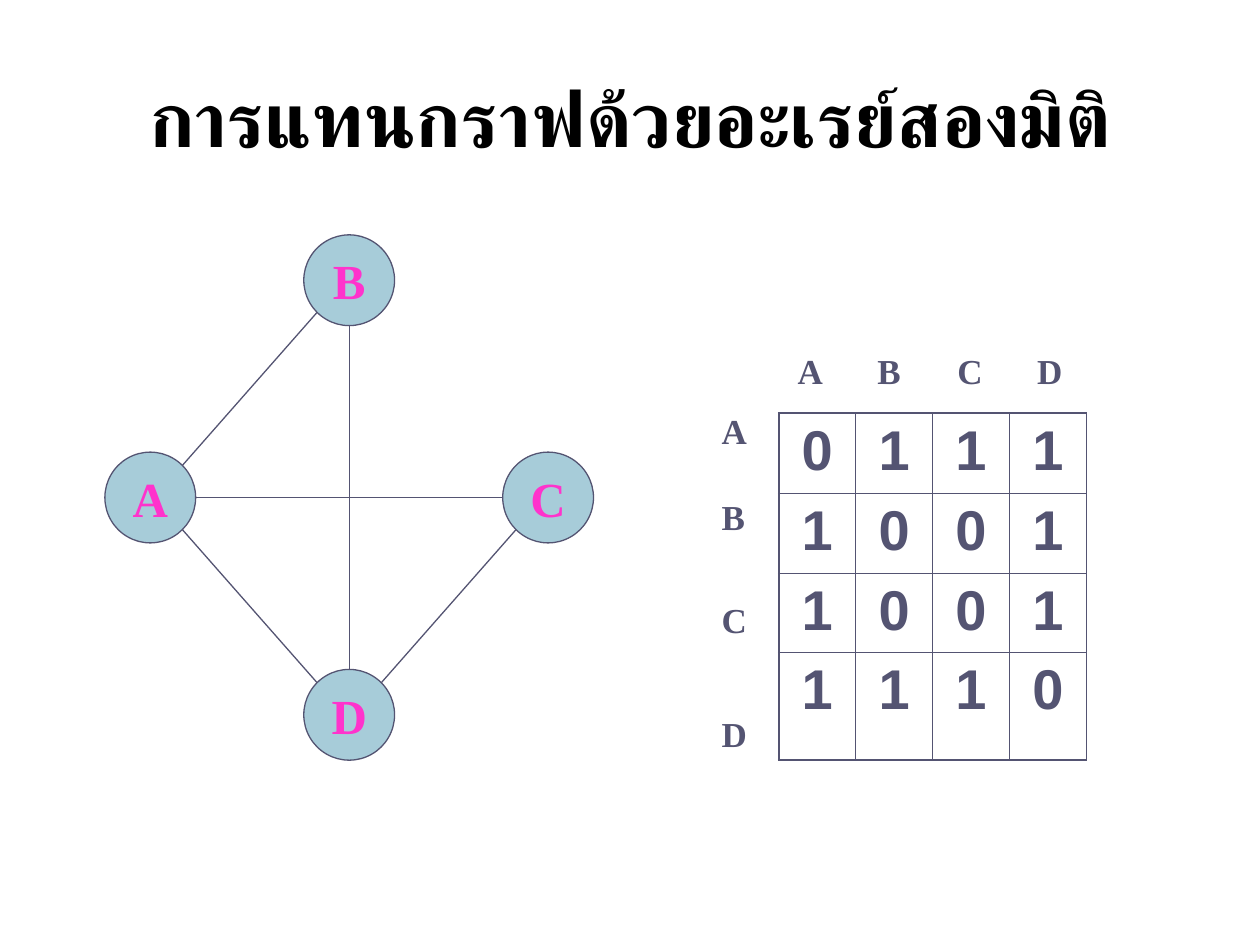
from math import hypot

from lxml.etree import SubElement
from pptx import Presentation
from pptx.dml.color import RGBColor
from pptx.enum.shapes import MSO_CONNECTOR, MSO_SHAPE
from pptx.enum.text import MSO_ANCHOR, PP_ALIGN
from pptx.oxml.ns import qn
from pptx.util import Cm, Pt

INK, DISC, PINK, BLACK = "545472", "A7CCD9", "FF33CC", "000000"
SANS, SERIF = "Arial", "Times New Roman"
SIZE = 1.83  # node diameter, cm

# Node centres in cm: a diamond around one middle point
MID_X, MID_Y, STEP_X, STEP_Y = 7.04, 10.03, 4.01, 4.38
NODES = {
    "A": (MID_X - STEP_X, MID_Y),
    "B": (MID_X, MID_Y - STEP_Y),
    "C": (MID_X + STEP_X, MID_Y),
    "D": (MID_X, MID_Y + STEP_Y),
}
EDGES = ["AB", "AC", "BD", "AD", "DC"]
GRID_X, GRID_Y, COL = 15.7, 8.33, 1.55
ROWS = [1.61, 1.61, 1.61, 2.16]
GAPS = [0, 25, 35, 41]  # points above each row label


def color(text):
    return RGBColor.from_string(text)


def sign(value):
    return (value > 0) - (value < 0)


def rim(start, end):
    """Point on the start node's circle, in one of eight directions."""
    dx, dy = (sign(b - a) for a, b in zip(start, end))
    scale = SIZE / 2 / hypot(dx, dy)
    return Cm(start[0] + dx * scale), Cm(start[1] + dy * scale)


class Board:
    def __init__(self, slide):
        self.slide = slide

    def style(self, para, size, name, tone, align=PP_ALIGN.CENTER):
        para.alignment = align
        font = para.font
        font.size, font.name, font.bold = Pt(size), name, True
        font.color.rgb = color(tone)

    def title(self, text):
        shape = self.slide.shapes.title
        shape.left, shape.top = Cm(1.27), Cm(0.76)
        shape.width, shape.height = Cm(22.86), Cm(3.18)
        frame = shape.text_frame
        frame.text = text
        frame.vertical_anchor = MSO_ANCHOR.MIDDLE
        self.style(frame.paragraphs[0], 44, SANS, BLACK)

    def node(self, name, x, y):
        disc = self.slide.shapes.add_shape(
            MSO_SHAPE.OVAL, Cm(x - SIZE / 2), Cm(y - SIZE / 2), Cm(SIZE), Cm(SIZE))
        disc.shadow.inherit = False
        disc.fill.solid()
        disc.fill.fore_color.rgb = color(DISC)
        disc.line.color.rgb = color(INK)
        disc.line.width = Pt(0.75)
        frame = disc.text_frame
        frame.text = name
        frame.vertical_anchor = MSO_ANCHOR.MIDDLE
        self.style(frame.paragraphs[0], 28, SERIF, PINK)

    def edge(self, start, end):
        line = self.slide.shapes.add_connector(
            MSO_CONNECTOR.STRAIGHT, *rim(start, end), *rim(end, start))
        line.line.color.rgb = color(INK)
        line.line.width = Pt(0.75)
        SubElement(line._element.spPr, qn("a:effectLst"))

    def border(self, cell, side, width):
        line = SubElement(cell._tc.get_or_add_tcPr(), qn("a:ln" + side),
                          w=str(Pt(width)))
        fill = SubElement(line, qn("a:solidFill"))
        SubElement(fill, qn("a:srgbClr"), val=INK)

    def matrix(self, rows):
        count = len(rows)
        table = self.slide.shapes.add_table(
            count, count, Cm(GRID_X), Cm(GRID_Y),
            Cm(COL * count), Cm(sum(ROWS))).table
        table.first_row = table.horz_banding = False
        for col in table.columns:
            col.width = Cm(COL)
        last = count - 1
        for i, row in enumerate(rows):
            table.rows[i].height = Cm(ROWS[i])
            for j, value in enumerate(row):
                cell = table.cell(i, j)
                cell.text = value
                self.style(cell.text_frame.paragraphs[0], 32, SANS, INK)
                outer = {"L": j == 0, "R": j == last, "T": i == 0, "B": i == last}
                for side, thick in outer.items():
                    self.border(cell, side, 1.08 if thick else 0.45)
                cell.fill.background()

    def box(self, x, y, width, height):
        frame = self.slide.shapes.add_textbox(
            Cm(x), Cm(y), Cm(width), Cm(height)).text_frame
        frame.word_wrap = True
        return frame

    def heads(self, names, gap):
        """Column labels on one line, set on equal tab stops."""
        frame = self.box(GRID_X, 6.93, 6.6, 1.22)
        frame.margin_left = Cm(0.38)
        frame.text = "\t".join(names)
        para = frame.paragraphs[0]
        tabs = SubElement(para._p.get_or_add_pPr(), qn("a:tabLst"))
        for i in range(1, len(names)):
            SubElement(tabs, qn("a:tab"), pos=str(Cm(gap * i)), algn="l")
        self.style(para, 20, SERIF, INK, PP_ALIGN.LEFT)

    def sides(self, names):
        """Row labels, one paragraph each."""
        frame = self.box(14.3, 8.13, 1.42, 7.11)
        frame.text = "\n".join(names)
        for para, gap in zip(frame.paragraphs, GAPS):
            para.space_before = Pt(gap)
            self.style(para, 20, SERIF, INK, PP_ALIGN.LEFT)


def main():
    deck = Presentation()
    deck.slide_width, deck.slide_height = Cm(25.4), Cm(19.05)
    board = Board(deck.slides.add_slide(deck.slide_layouts[5]))
    board.title("การแทนกราฟด้วยอะเรย์สองมิติ")
    for name, (x, y) in NODES.items():
        board.node(name, x, y)
    for start, end in EDGES:
        board.edge(NODES[start], NODES[end])
    board.matrix(["0111", "1001", "1001", "1110"])
    board.heads(list(NODES), 1.61)
    board.sides(list(NODES))
    deck.save("out.pptx")


if __name__ == "__main__":
    main()
